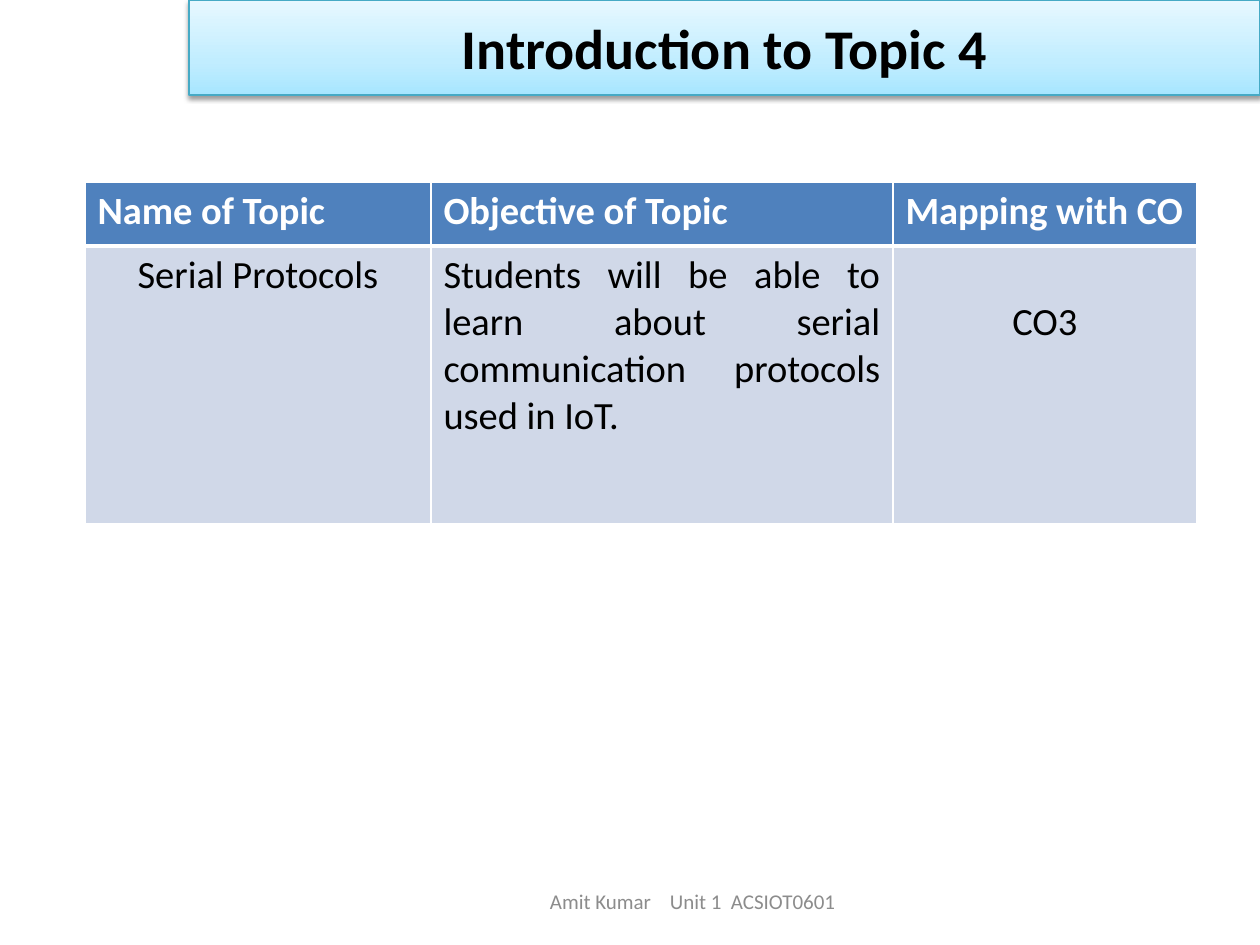
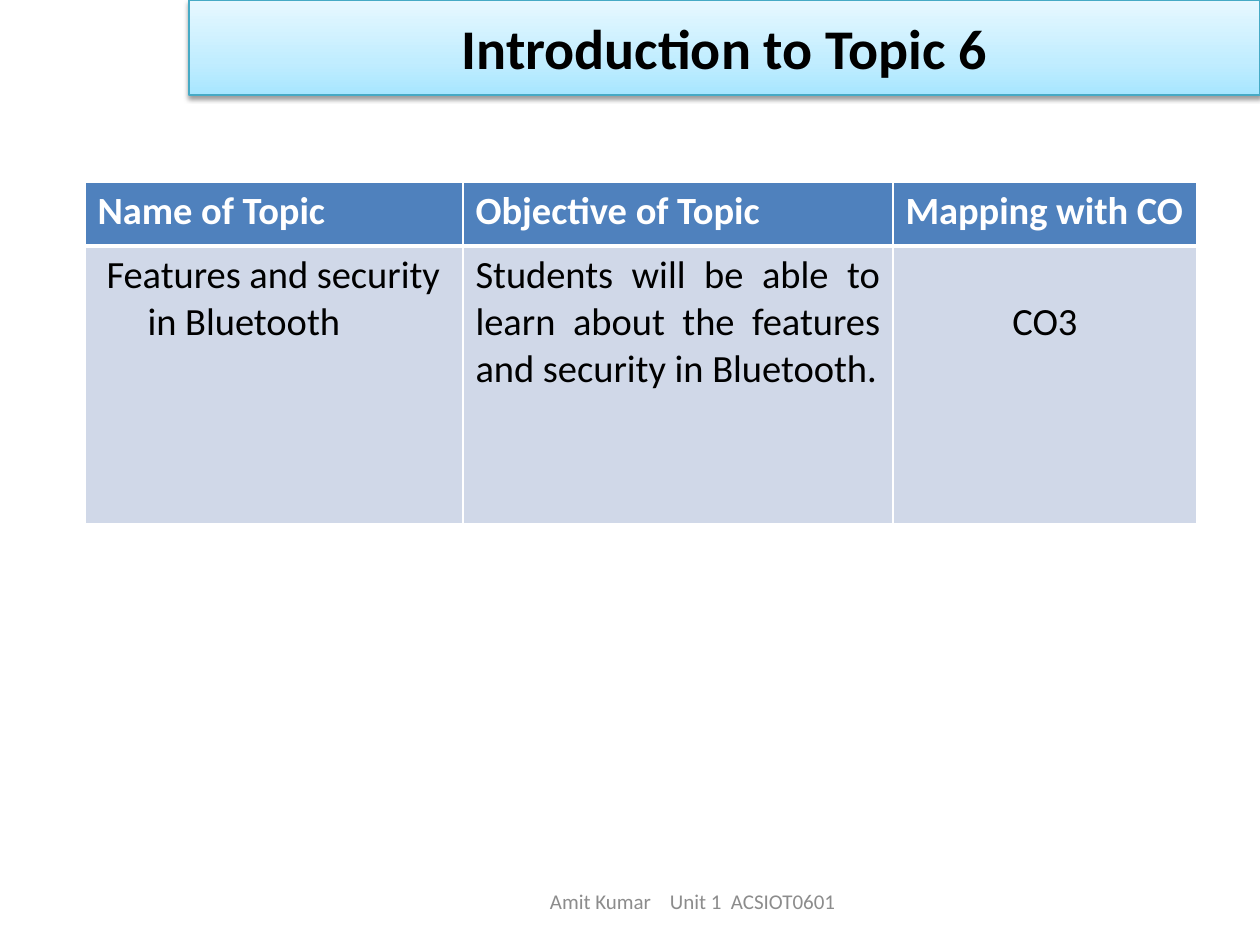
from pptx import Presentation
from pptx.dml.color import RGBColor
from pptx.enum.text import MSO_ANCHOR, MSO_AUTO_SIZE, PP_ALIGN
from pptx.oxml import parse_xml
from pptx.oxml.ns import nsdecls
from pptx.util import Emu, Pt

LEFT, CENTER, JUSTIFY = PP_ALIGN.LEFT, PP_ALIGN.CENTER, PP_ALIGN.JUSTIFY
TOP, MIDDLE = MSO_ANCHOR.TOP, MSO_ANCHOR.MIDDLE
NO_AUTOFIT = MSO_AUTO_SIZE.NONE

BLACK = RGBColor(0x00, 0x00, 0x00)
WHITE = RGBColor(0xFF, 0xFF, 0xFF)
GREY = RGBColor(0x8C, 0x8C, 0x8C)
HEADER_BLUE = RGBColor(0x4F, 0x81, 0xBD)
BODY_BLUE = RGBColor(0xD0, 0xD8, 0xE8)
BAND_LINE = RGBColor(0x46, 0xAA, 0xC5)
BAND_STOPS = [
    (0, RGBColor(0xA7, 0xE6, 0xFF)),
    (35, RGBColor(0xC1, 0xED, 0xFF)),
    (100, RGBColor(0xE7, 0xF8, 0xFF)),
]

FONT = "Calibri"
EMU_PER_PX = 914400 / 126
TITLE_ONLY = 5
TABLE_WIDTH, MAPPING_WIDTH = 1112, 304
ROW_HEIGHTS = (64, 278)
CELL_TEXT_SIZE = 22
LINE_HEIGHT = 47
HEADINGS = ("Name of Topic", "Objective of Topic", "Mapping with CO")
FOOTER = "Amit Kumar\tUnit 1\tACSIOT0601"

TOPICS = [
    {
        "title": "Introduction to Topic 4",
        "name": "Serial Protocols",
        "name_format": {"align": CENTER},
        "objective": "Students will be able to learn about serial "
                     "communication protocols used in IoT.",
        "name_width": 346,
    },
    {
        "title": "Introduction to Topic 6",
        "name": "Features and security in Bluetooth",
        "name_format": {"indent": 50, "first_line": -41},
        "objective": "Students will be able to learn about the features "
                     "and security in Bluetooth.",
        "name_width": 378,
    },
]


def px(length):
    return Emu(round(length * EMU_PER_PX))


def add_xml(parent, xml):
    """Append an element written with the a: prefix."""
    head, mark, rest = xml.partition(">")
    if head.endswith("/"):
        head, mark = head[:-1], "/>"
    parent.append(parse_xml(f"{head} {nsdecls('a')}{mark}{rest}"))


def write(frame, text, size=CELL_TEXT_SIZE, color=BLACK, bold=False,
          align=LEFT, indent=0, first_line=0, tabs=()):
    """Fill a text frame with one formatted paragraph."""
    frame.word_wrap = True
    para = frame.paragraphs[0]
    para.text = text
    para.alignment = align
    properties = para._p.get_or_add_pPr()
    if indent:
        properties.set("marL", str(px(indent)))
        properties.set("indent", str(px(first_line)))
    if tabs:
        stops = "".join(f'<a:tab pos="{px(stop)}" algn="l"/>' for stop in tabs)
        add_xml(properties, f"<a:tabLst>{stops}</a:tabLst>")
    for span in para.runs:
        span.font.name = FONT
        span.font.size = Pt(size)
        span.font.bold = bold
        span.font.color.rgb = color


class TopicDeck:
    def __init__(self):
        self.deck = Presentation()
        self.deck.slide_width, self.deck.slide_height = px(1260), px(945)
        self.page = None

    def add_page(self):
        layout = self.deck.slide_layouts[TITLE_ONLY]
        self.page = self.deck.slides.add_slide(layout)

    def add_title(self, text):
        band = self.page.shapes.title
        band.left, band.top, band.width, band.height = map(px, (189, 0, 1071, 95))
        frame = band.text_frame
        frame.auto_size = NO_AUTOFIT
        frame.vertical_anchor = MIDDLE
        write(frame, text, size=32, bold=True, align=CENTER)

        # Gradient, outline and soft shadow of the band
        properties = band._element.spPr
        stops = "".join(
            f'<a:gs pos="{position * 1000}"><a:srgbClr val="{color}"/></a:gs>'
            for position, color in BAND_STOPS)
        add_xml(properties, f'<a:gradFill rotWithShape="1"><a:gsLst>{stops}</a:gsLst>'
                            f'<a:lin ang="{270 * 60000}" scaled="0"/></a:gradFill>')
        band.line.color.rgb = BAND_LINE
        band.line.width = Pt(0.75)
        add_xml(properties,
                f'<a:effectLst><a:outerShdw blurRad="{Pt(3.1)}" dist="{Pt(1.6)}" '
                f'dir="{90 * 60000}" rotWithShape="0"><a:srgbClr val="{BLACK}">'
                '<a:alpha val="38000"/></a:srgbClr></a:outerShdw></a:effectLst>')

    def add_footer(self):
        box = self.page.shapes.add_textbox(*map(px, (346, 876, 693, 50)))
        frame = box.text_frame
        frame.vertical_anchor = MIDDLE
        frame.margin_left = px(204)
        write(frame, FOOTER, size=12, color=GREY, tabs=(120, 181))

    def style_cell(self, cell, fill, top, bottom):
        properties = cell._tc.get_or_add_tcPr()
        for side, width in (("L", 1), ("R", 1), ("T", top), ("B", bottom)):
            add_xml(properties, f'<a:ln{side} w="{Pt(width)}"><a:solidFill>'
                                f'<a:srgbClr val="{WHITE}"/></a:solidFill></a:ln{side}>')
        cell.fill.solid()
        cell.fill.fore_color.rgb = fill
        cell.vertical_anchor = TOP

    def add_topic_table(self, topic):
        name_width = topic["name_width"]
        widths = (name_width, TABLE_WIDTH - name_width - MAPPING_WIDTH, MAPPING_WIDTH)
        table = self.page.shapes.add_table(
            2, 3, *map(px, (85, 182, TABLE_WIDTH, sum(ROW_HEIGHTS)))).table
        for column, width in zip(table.columns, widths):
            column.width = px(width)
        for row, height in zip(table.rows, ROW_HEIGHTS):
            row.height = px(height)

        body = (
            (topic["name"], topic["name_format"]),
            (topic["objective"], {"align": JUSTIFY}),
            ("CO3", {"align": CENTER}),
        )
        for index, (heading, (text, text_format)) in enumerate(zip(HEADINGS, body)):
            header_cell, body_cell = table.cell(0, index), table.cell(1, index)
            self.style_cell(header_cell, HEADER_BLUE, top=1, bottom=3)
            self.style_cell(body_cell, BODY_BLUE, top=3, bottom=1)
            write(header_cell.text_frame, heading, color=WHITE, bold=True)
            write(body_cell.text_frame, text, **text_format)
        # The outcome code sits one line lower than its neighbours
        table.cell(1, 2).margin_top = px(6 + LINE_HEIGHT)


def main():
    builder = TopicDeck()
    for topic in TOPICS:
        builder.add_page()
        builder.add_footer()
        builder.add_title(topic["title"])
        builder.add_topic_table(topic)
    builder.deck.save("out.pptx")


if __name__ == "__main__":
    main()
